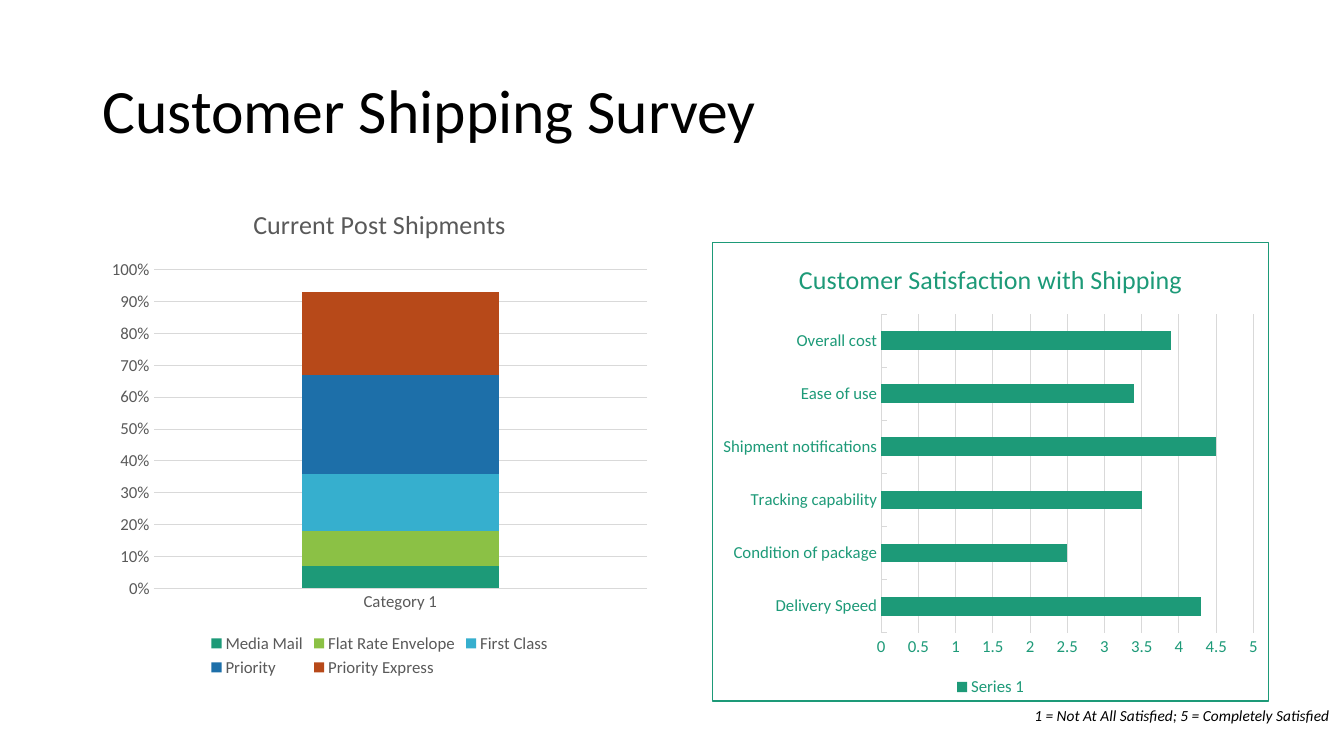
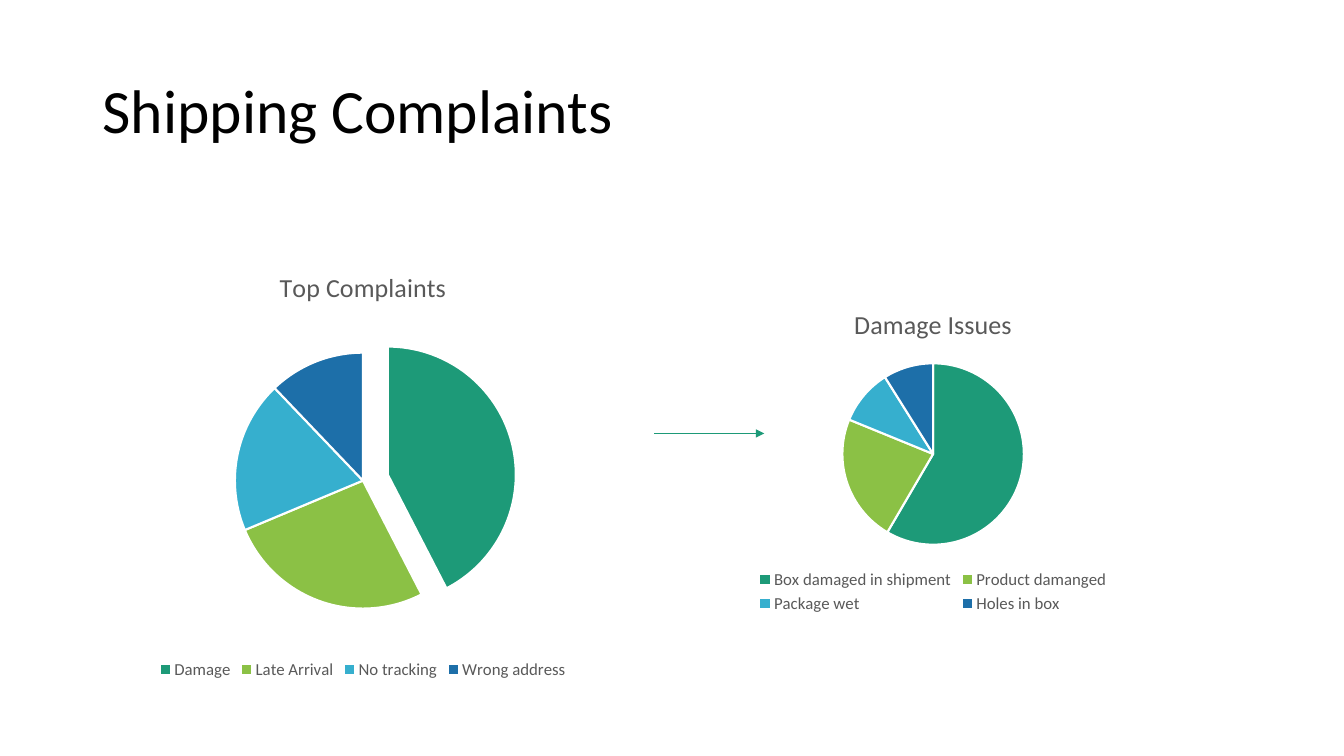
from lxml.etree import SubElement
from pptx import Presentation
from pptx.chart.data import CategoryChartData
from pptx.dml.color import RGBColor
from pptx.enum.chart import XL_CHART_TYPE, XL_LEGEND_POSITION, XL_TICK_MARK
from pptx.enum.shapes import MSO_CONNECTOR
from pptx.enum.text import MSO_ANCHOR
from pptx.oxml import parse_xml
from pptx.oxml.ns import nsdecls, qn
from pptx.util import Pt

PX = 9144
FONT = "Calibri"
BLACK = RGBColor(0, 0, 0)
WHITE = RGBColor(255, 255, 255)
GRAY = RGBColor(0x59, 0x59, 0x59)
GRID = RGBColor(0xD9, 0xD9, 0xD9)
GREEN = RGBColor(0x1D, 0x9A, 0x78)
LIME = RGBColor(0x8B, 0xC1, 0x45)
SKY = RGBColor(0x36, 0xAF, 0xCE)
BLUE = RGBColor(0x1D, 0x6F, 0xA9)
RUST = RGBColor(0xB7, 0x49, 0x19)
COLORS = [GREEN, LIME, SKY, BLUE, RUST]


def add_text(slide, box, text, size, wrap):
    shape = slide.shapes.add_textbox(*[n * PX for n in box])
    frame = shape.text_frame
    frame.word_wrap = wrap
    run = frame.paragraphs[0].add_run()
    run.text = text
    run.font.name, run.font.size = FONT, Pt(size)
    run.font.color.rgb = BLACK
    return frame


def add_graph(slide, kind, box, title, cats, series, color):
    data = CategoryChartData()
    data.categories = cats
    for name, vals in series:
        data.add_series(name, vals)
    chart = slide.shapes.add_chart(kind, *[n * PX for n in box], data).chart
    chart.font.name, chart.font.size = FONT, Pt(12)
    chart.font.color.rgb = color
    chart.has_title = True
    run = chart.chart_title.text_frame.paragraphs[0].add_run()
    run.text = title
    run.font.name, run.font.size, run.font.bold = FONT, Pt(18.6), False
    run.font.color.rgb = color
    chart.has_legend = True
    chart.legend.position = XL_LEGEND_POSITION.BOTTOM
    chart.legend.include_in_layout = False
    chart.legend.font.name, chart.legend.font.size = FONT, Pt(12)
    chart.legend.font.color.rgb = color
    return chart


prs = Presentation()
prs.slide_width, prs.slide_height = 1333 * PX, 750 * PX
slides = []
for title in ["Customer Shipping Survey", "Shipping Complaints"]:
    slide = prs.slides.add_slide(prs.slide_layouts[6])
    frame = add_text(slide, (92, 40, 1150, 145), title, 44, True)
    frame.vertical_anchor = MSO_ANCHOR.MIDDLE
    frame.paragraphs[0].line_spacing = 0.9
    slides.append(slide)
survey, issues = slides

mail = [("Media Mail", [0.07]), ("Flat Rate Envelope", [0.11]),
        ("First Class", [0.18]), ("Priority", [0.31]),
        ("Priority Express", [0.26])]
stack = add_graph(survey, XL_CHART_TYPE.COLUMN_STACKED, (100, 185, 553, 491),
                  "Current Post Shipments", ["Category 1"], mail, GRAY)
topics = ["Delivery Speed", "Condition of package", "Tracking capability",
          "Shipment notifications", "Ease of use", "Overall cost"]
scores = [("Series 1", [4.3, 2.5, 3.5, 4.5, 3.4, 3.9])]
bars = add_graph(survey, XL_CHART_TYPE.BAR_CLUSTERED, (706, 240, 553, 456),
                 "Customer Satisfaction with Shipping", topics, scores, GREEN)

for chart, color, gap, top, step, form, tick in [
        (stack, GRAY, 150, 1, 0.1, "0%", XL_TICK_MARK.NONE),
        (bars, GREEN, 182, 5, 0.5, "General", XL_TICK_MARK.INSIDE)]:
    plot = chart.plots[0]
    plot.gap_width, plot.vary_by_categories = gap, False
    for row, fill in zip(plot.series, COLORS):
        row.format.fill.solid()
        row.format.fill.fore_color.rgb = fill
    cat, val = chart.category_axis, chart.value_axis
    for axis in (cat, val):
        axis.minor_tick_mark = XL_TICK_MARK.NONE
        font = axis.tick_labels.font
        font.name, font.size = FONT, Pt(12)
        font.color.rgb = color
    cat.major_tick_mark, val.major_tick_mark = tick, XL_TICK_MARK.NONE
    val.minimum_scale, val.maximum_scale, val.major_unit = 0, top, step
    val.tick_labels.number_format = form
    val.tick_labels.number_format_is_linked = False
    val.format.line.fill.background()
    val.has_major_gridlines = True
    for line in (cat.format.line, val.major_gridlines.format.line):
        line.color.rgb, line.width = GRID, Pt(0.75)

bars.element.find(qn("c:txPr")).addprevious(parse_xml(
    f'<c:spPr {nsdecls("c", "a")}><a:noFill/><a:ln w="{Pt(0.75)}"><a:solidFill>'
    f'<a:srgbClr val="{GREEN}"/></a:solidFill></a:ln></c:spPr>'))

note = add_text(survey, (1016, 696, 317, 29),
                "1 = Not At All Satisfied; 5 = Completely Satisfied", 11, False)
note.paragraphs[0].runs[0].font.italic = True

for title, box, cats, vals, burst in [
        ("Top Complaints", (35, 249, 650, 429),
         ["Damage", "Late Arrival", "No tracking", "Wrong address"],
         [42, 26, 19, 12], 20),
        ("Damage Issues", (667, 287, 517, 326),
         ["Box damaged in shipment", "Product damanged", "Package wet",
          "Holes in box"],
         [59, 23, 10, 9], 0)]:
    pie = add_graph(issues, XL_CHART_TYPE.PIE, box, title, cats,
                    [(title, vals)], GRAY)
    pie.plots[0].vary_by_categories = True
    row = pie.plots[0].series[0]
    for i in range(len(vals)):
        look = row.points[i].format
        look.fill.solid()
        look.fill.fore_color.rgb = COLORS[i]
        look.line.color.rgb, look.line.width = WHITE, Pt(1.5)
    if burst:
        wedge = pie.element.find(".//" + qn("c:dPt"))
        wedge.find(qn("c:spPr")).addprevious(parse_xml(
            f'<c:explosion {nsdecls("c")} val="{burst}"/>'))

arrow = issues.shapes.add_connector(
    MSO_CONNECTOR.STRAIGHT, 649 * PX, 430 * PX, 758 * PX, 430 * PX)
arrow.line.color.rgb, arrow.line.width = GREEN, Pt(0.5)
props = arrow.element.spPr
SubElement(props.find(qn("a:ln")), qn("a:tailEnd"), type="triangle")
SubElement(props, qn("a:effectLst"))

prs.save("out.pptx")
